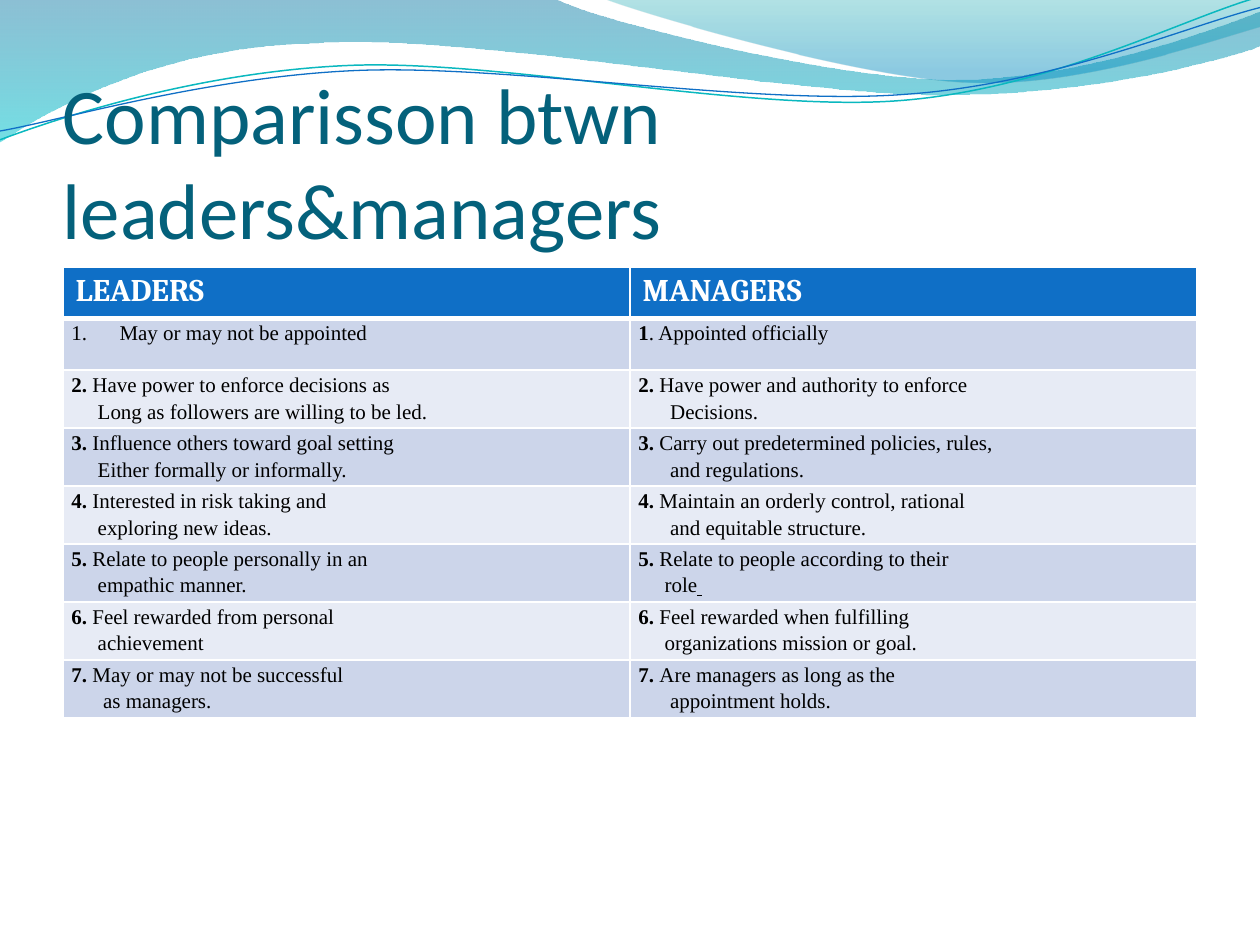
"""Build a slide comparing leaders and managers in a table under a wave header."""
from lxml import etree
from pptx import Presentation
from pptx.dml.color import RGBColor
from pptx.enum.text import MSO_ANCHOR
from pptx.oxml import parse_xml
from pptx.oxml.ns import nsdecls, qn
from pptx.util import Cm, Pt

WHITE = RGBColor(0xFF, 0xFF, 0xFF)
BLACK = RGBColor(0x00, 0x00, 0x00)
TITLE_TEAL = RGBColor(0x04, 0x61, 0x7B)
BLUE = RGBColor(0x0F, 0x6F, 0xC6)
TURQUOISE = RGBColor(0x0A, 0xB8, 0xBF)
BAND_DARK = RGBColor(0xCC, 0xD5, 0xEA)
BAND_LIGHT = RGBColor(0xE7, 0xEB, 0xF5)
DEEP_BLUE = RGBColor(0x00, 0x74, 0xA1)
AQUA = RGBColor(0x00, 0xC6, 0xCF)
DEEP_TEAL = RGBColor(0x00, 0xA1, 0xA9)
SKY = RGBColor(0x00, 0x8B, 0xBF)
NARROW, WIDE = Cm(0.53), Cm(0.64)


def add_wave(slide, start, segments, closed):
    """Draw an outline in inches; three-point segments become Bezier curves."""
    points = [(Cm(2.54 * x), Cm(2.54 * y)) for segment in segments for x, y in segment]
    builder = slide.shapes.build_freeform(Cm(2.54 * start[0]), Cm(2.54 * start[1]))
    builder.add_line_segments(points, close=closed)
    shape = builder.convert_to_shape()
    shape.shadow.inherit = False
    steps = iter(list(shape._element.iter(qn("a:lnTo"))))
    for segment in segments:
        first = next(steps)
        if len(segment) == 3:
            first.tag = qn("a:cubicBezTo")
            for step in (next(steps), next(steps)):
                first.append(step[0])
                step.getparent().remove(step)
    return shape


def add_border(cell, side, width):
    line = parse_xml(
        f'<a:{side} {nsdecls("a")} w="{Pt(width)}"><a:solidFill>'
        f'<a:srgbClr val="{WHITE}"/></a:solidFill></a:{side}>')
    cell._tc.get_or_add_tcPr().append(line)


presentation = Presentation()
presentation.slide_width, presentation.slide_height = Cm(25.4), Cm(19.05)
slide = presentation.slides.add_slide(presentation.slide_layouts[6])

filled_waves = [
    ((0, 0), [
        [(4.4, -0.01)],
        [(4.76, 0.17), (6.64, 0.63), (7.58, 0.63)],
        [(8.53, 0.63), (9.58, 0.26), (10, 0.09)],
        [(10.01, 0.36)],
        [(9.83, 0.44), (8.7, 0.76), (7.46, 0.75)],
        [(6.22, 0.75), (3.82, 0.28), (2.57, 0.34)],
        [(1.29, 0.36), (0.46, 0.83), (-0.01, 1.13)],
    ], [(0, DEEP_BLUE, 45), (100, AQUA, 55)]),
    ((4.79, -0.01), [
        [(5.09, 0.11), (6.82, 0.62), (7.69, 0.65)],
        [(8.56, 0.69), (9.61, 0.32), (10, 0.21)],
        [(10, 0)],
    ], [(0, DEEP_TEAL, 30), (80, SKY, 45)]),
]
for start, segments, stops in filled_waves:
    wave = add_wave(slide, start, segments, True)
    wave.line.fill.background()
    stop_xml = "".join(
        f'<a:gs pos="{position * 1000}"><a:srgbClr val="{color}">'
        f'<a:alpha val="{opacity * 1000}"/></a:srgbClr></a:gs>'
        for position, color, opacity in stops)
    gradient = parse_xml(
        f'<a:gradFill {nsdecls("a")} rotWithShape="1"><a:gsLst>{stop_xml}</a:gsLst>'
        '<a:lin ang="5400000" scaled="0"/></a:gradFill>')
    wave._element.spPr.find(qn("a:custGeom")).addnext(gradient)

line_waves = [
    ((0, 1.11), [
        [(0.48, 0.93), (1.58, 0.57), (2.77, 0.52)],
        [(3.95, 0.47), (5.93, 0.89), (7.13, 0.8)],
        [(8.33, 0.71), (9.38, 0.15), (9.98, -0.02)],
    ], TURQUOISE, 0.85),
    ((0, 1.04), [
        [(0.47, 0.96), (1.64, 0.61), (2.83, 0.56)],
        [(4.03, 0.51), (5.97, 0.84), (7.17, 0.75)],
        [(8.36, 0.67), (9.41, 0.21), (10, 0.06)],
    ], BLUE, 0.75),
]
for start, segments, color, width in line_waves:
    wave = add_wave(slide, start, segments, False)
    wave.fill.background()
    wave.line.color.rgb = color
    wave.line.width = Pt(width)

title = slide.shapes.add_textbox(Cm(1.27), Cm(1.96), Cm(22.86), Cm(3.18))
title_frame = title.text_frame
title_frame.word_wrap = True
title_frame.vertical_anchor = MSO_ANCHOR.BOTTOM
title_frame.margin_left = title_frame.margin_right = title_frame.margin_bottom = 0
title_frame.margin_top = Cm(0.13)
paragraph = title_frame.paragraphs[0]
paragraph.text = "Comparisson btwn leaders&managers"
paragraph.font.size = Pt(45)
paragraph.font.name = "Calibri"
paragraph.font.color.rgb = TITLE_TEAL

columns = [
    ("LEADERS", [
        ("", "May or may not be appointed", "", 0),
        ("2. ", "Have power to enforce decisions as",
         "Long as followers are willing to be led.", NARROW),
        ("3. ", "Influence others toward goal setting", "Either formally or informally.", NARROW),
        ("4. ", "Interested in risk taking and", "exploring new ideas.", NARROW),
        ("5. ", "Relate to people personally in an", "empathic manner.", NARROW),
        ("6. ", "Feel rewarded from personal", "achievement", NARROW),
        ("7. ", "May or may not be successful", "as managers.", WIDE),
    ]),
    ("MANAGERS", [
        ("1", ". Appointed officially", "", 0),
        ("2. ", "Have power and authority to enforce", "Decisions.", WIDE),
        ("3. ", "Carry out predetermined policies, rules,", "and regulations.", WIDE),
        ("4. ", "Maintain an orderly control, rational", "and equitable structure.", WIDE),
        ("5. ", "Relate to people according to their", "role", NARROW),
        ("6. ", "Feel rewarded when fulfilling", "organizations mission or goal.", NARROW),
        ("7. ", "Are managers as long as the", "appointment holds.", WIDE),
    ]),
]
table = slide.shapes.add_table(8, 2, Cm(1.27), Cm(5.38), Cm(22.86), Cm(8.32)).table
for row in table.rows:
    row.height = Cm(1.04)

for column_index, (heading, entries) in enumerate(columns):
    header = table.cell(0, column_index)
    for side, width in (("lnL", 1), ("lnR", 1), ("lnT", 1), ("lnB", 3)):
        add_border(header, side, width)
    header.fill.solid()
    header.fill.fore_color.rgb = BLUE
    paragraph = header.text_frame.paragraphs[0]
    paragraph.text = heading
    paragraph.font.size = Pt(18)
    paragraph.font.name = "Cambria"
    paragraph.font.bold = True
    paragraph.font.color.rgb = WHITE

    for row_index, (number, first_line, second_line, indent) in enumerate(entries, 1):
        cell = table.cell(row_index, column_index)
        for side in ("lnL", "lnR", "lnT", "lnB"):
            add_border(cell, side, 3 if side == "lnT" and row_index == 1 else 1)
        cell.fill.solid()
        cell.fill.fore_color.rgb = BAND_DARK if row_index % 2 else BAND_LIGHT
        cell.margin_left = cell.margin_right = Cm(0.17)
        cell.margin_top = cell.margin_bottom = 0
        frame = cell.text_frame
        paragraph = frame.paragraphs[0]
        if number:
            run = paragraph.add_run()
            run.text = number
            run.font.bold = True
        else:
            properties = paragraph._p.get_or_add_pPr()
            properties.set("marL", str(Cm(0.97)))
            properties.set("indent", str(-Cm(0.97)))
            etree.SubElement(properties, qn("a:buAutoNum"), type="arabicPeriod")
        paragraph.add_run().text = first_line
        if second_line:
            paragraph = frame.add_paragraph()
            paragraph._p.get_or_add_pPr().set("marL", str(indent))
            paragraph.add_run().text = second_line
        if second_line == "role":
            run = paragraph.add_run()
            run.text = " "
            run.font.bold = run.font.underline = True
        for paragraph in frame.paragraphs:
            paragraph.line_spacing = 1.15
            paragraph.font.size = Pt(12)
            paragraph.font.name = "Times New Roman"
            paragraph.font.color.rgb = BLACK

presentation.save("out.pptx")
